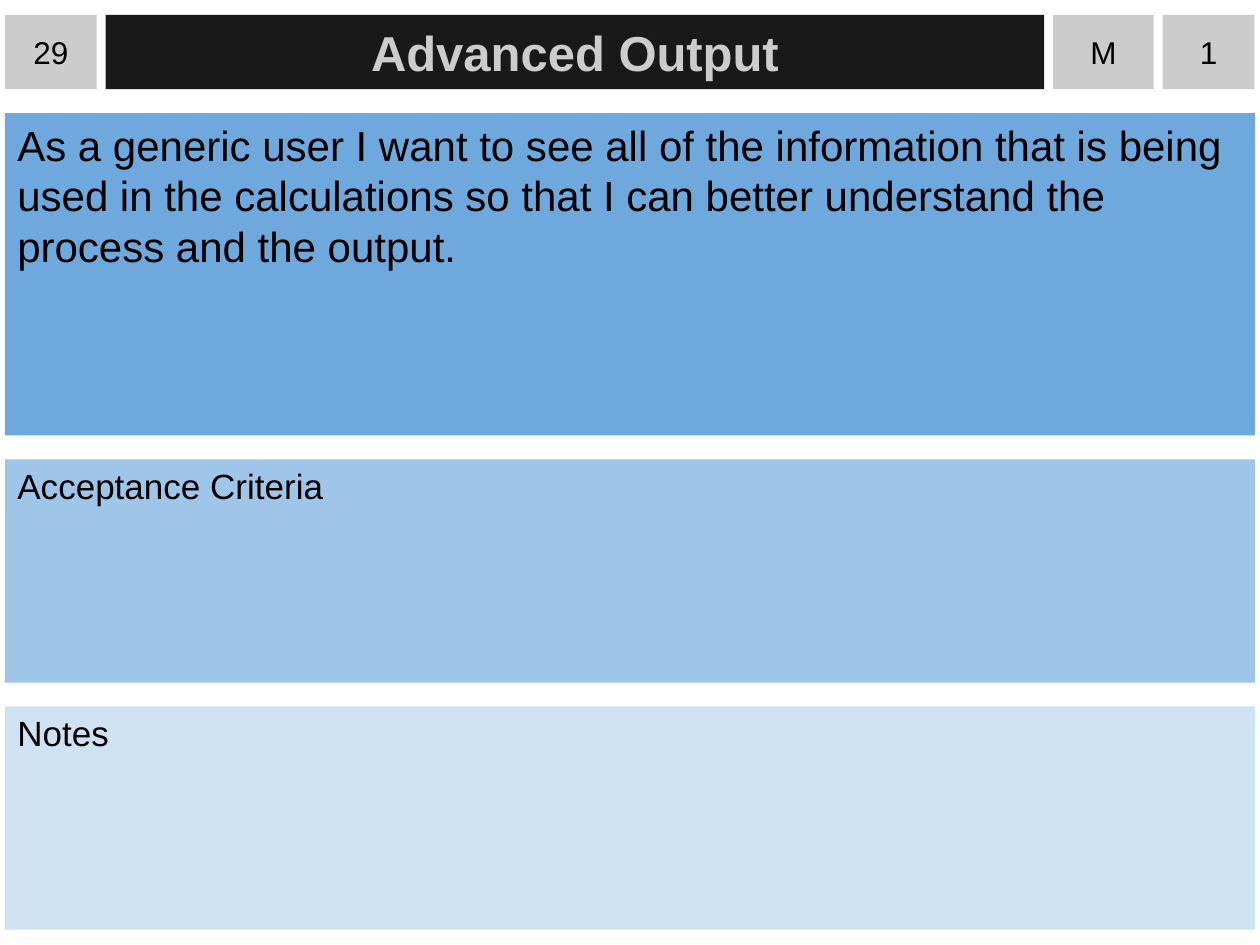
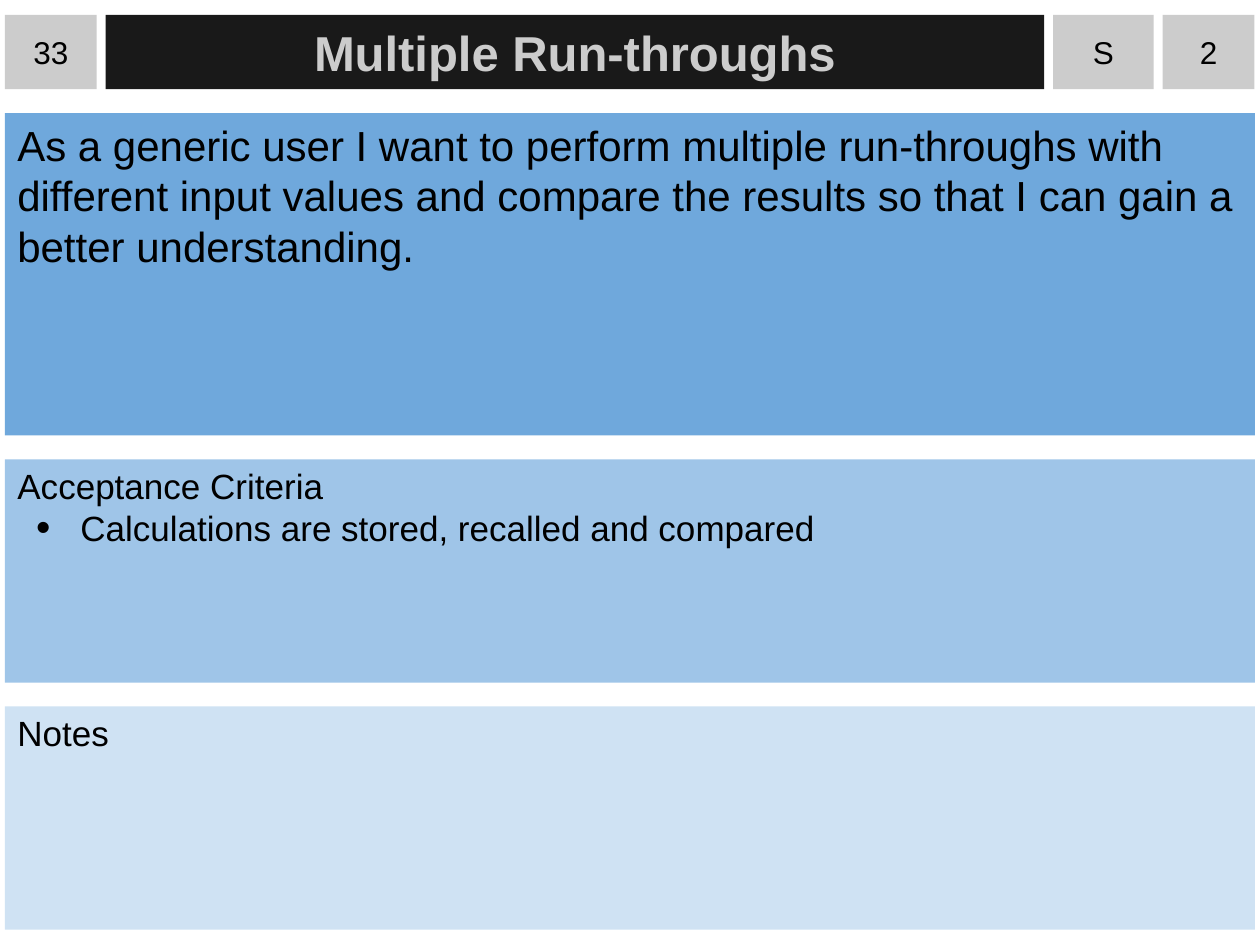
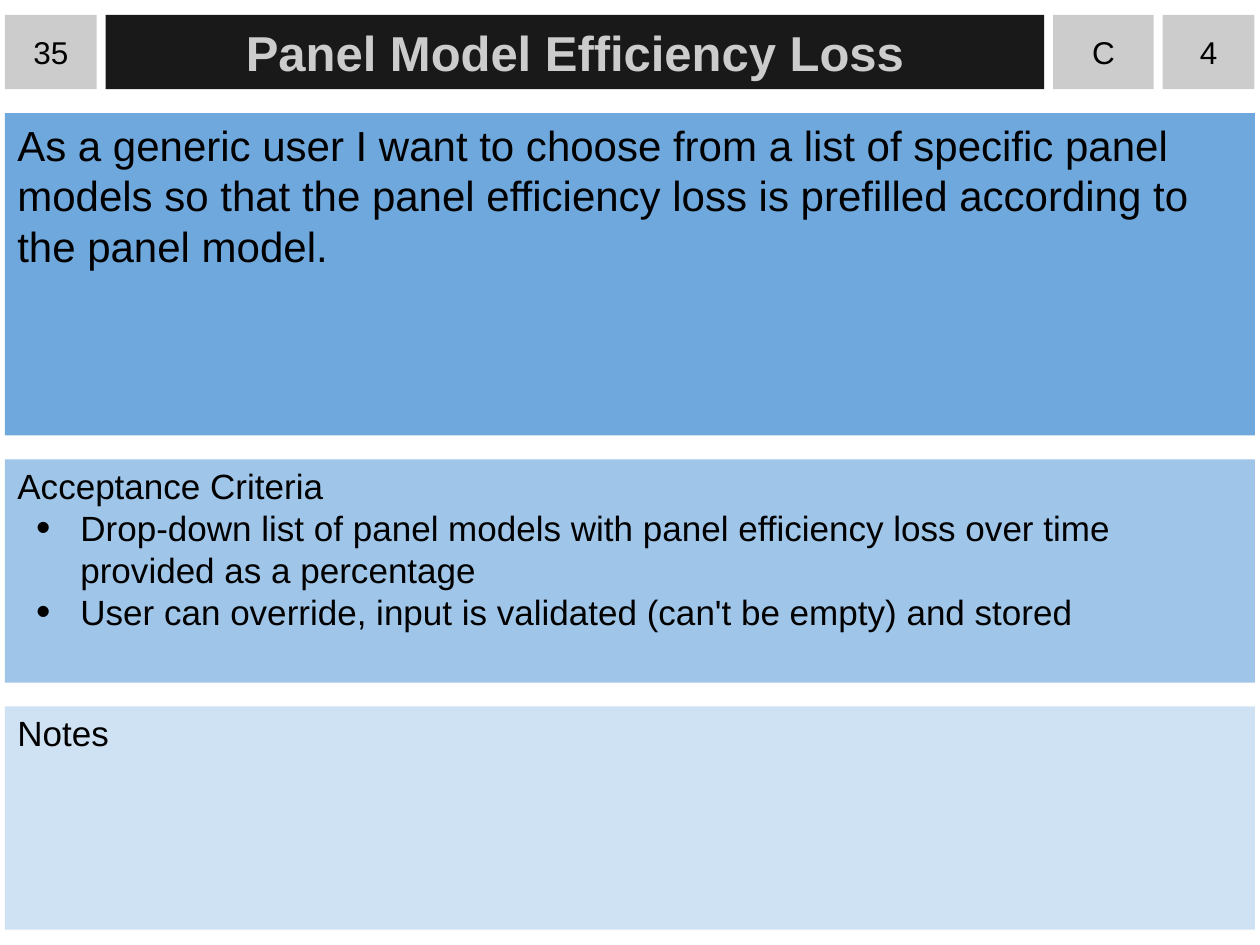
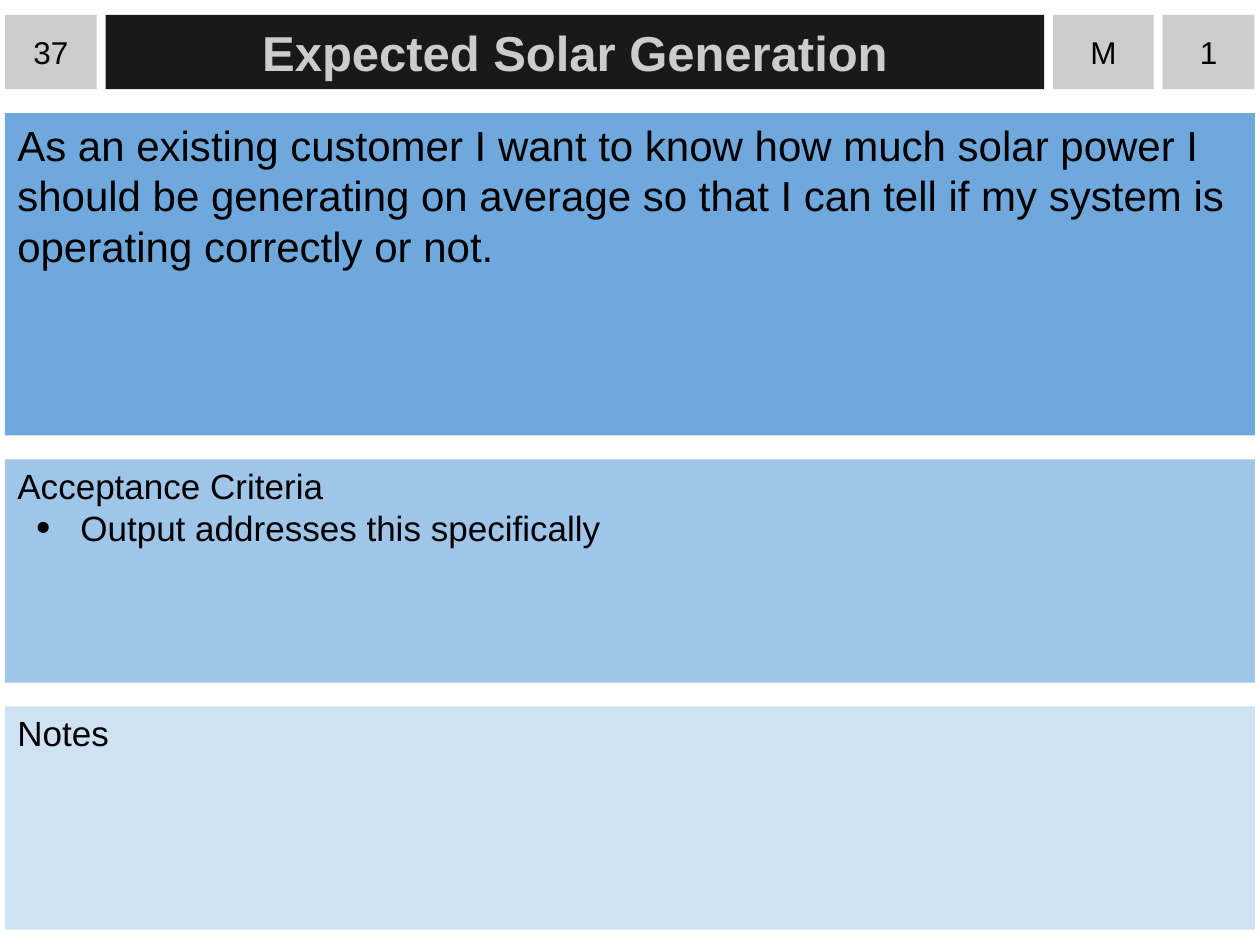
from dataclasses import dataclass

from lxml import etree
from pptx import Presentation
from pptx.dml.color import RGBColor
from pptx.enum.shapes import MSO_SHAPE
from pptx.enum.text import MSO_ANCHOR, MSO_AUTO_SIZE, PP_ALIGN
from pptx.oxml.ns import qn
from pptx.util import Cm, Pt

RECTANGLE = MSO_SHAPE.RECTANGLE
TOP, MIDDLE = MSO_ANCHOR.TOP, MSO_ANCHOR.MIDDLE
LEFT, CENTER = PP_ALIGN.LEFT, PP_ALIGN.CENTER
NO_AUTOFIT = MSO_AUTO_SIZE.NONE

BLACK = RGBColor(0x00, 0x00, 0x00)
CHARCOAL = RGBColor(0x19, 0x19, 0x19)
GREY = RGBColor(0xCC, 0xCC, 0xCC)
STORY_BLUE = RGBColor(0x6F, 0xA8, 0xDC)
CRITERIA_BLUE = RGBColor(0x9F, 0xC5, 0xE8)
NOTES_BLUE = RGBColor(0xCF, 0xE2, 0xF3)

FONT = "Arial"
MARGIN = Cm(0.1)
HEADER_TOP, HEADER_HEIGHT, HEADER_GAP = Cm(0.3), Cm(1.5), Cm(0.18)
HEADER_WIDTHS = [Cm(1.85), Cm(18.92), Cm(2.03), Cm(1.85)]
PANEL_WIDTH, PANEL_GAP = Cm(25.2), Cm(0.48)
PANEL_HEIGHTS = [Cm(6.5), Cm(4.5), Cm(4.5)]
INSET, NARROW_INSET, PANEL_INSET = Cm(0.25), Cm(0.13), Cm(0.1)
BULLET_MARGIN, BULLET_INDENT = Cm(1.27), Cm(-0.89)


@dataclass
class Story:
    """One user story card."""

    number: str
    title: str
    priority: str
    iteration: str
    text: str
    criteria: tuple = ()


STORIES = [
    Story("29", "Advanced Output", "M", "1",
          "As a generic user I want to see all of the information that is being used "
          "in the calculations so that I can better understand the process and the output."),
    Story("33", "Multiple Run-throughs", "S", "2",
          "As a generic user I want to perform multiple run-throughs with different "
          "input values and compare the results so that I can gain a better understanding.",
          ("Calculations are stored, recalled and compared",)),
    Story("35", "Panel Model Efficiency Loss", "C", "4",
          "As a generic user I want to choose from a list of specific panel models so "
          "that the panel efficiency loss is prefilled according to the panel model.",
          ("Drop-down list of panel models with panel efficiency loss over time "
           "provided as a percentage",
           "User can override, input is validated (can't be empty) and stored")),
    Story("37", "Expected Solar Generation", "M", "1",
          "As an existing customer I want to know how much solar power I should be "
          "generating on average so that I can tell if my system is operating correctly or not.",
          ("Output addresses this specifically",)),
]


def spread(start, sizes, gap):
    """Return the start position of each size, laid out with equal gaps."""
    positions = []
    for size in sizes:
        positions.append(start)
        start += size + gap
    return positions


def place(box, left, top, width, height):
    """Move and size a box."""
    box.left, box.top, box.width, box.height = left, top, width, height


def add_box(page):
    """Add a plain rectangle without shadow or outline."""
    box = page.shapes.add_shape(RECTANGLE, 0, 0, 0, 0)
    box.shadow.inherit = False
    box.line.fill.background()
    return box


def fill_box(box, text, fill, size, color=BLACK, bold=False, align=LEFT,
             anchor=TOP, side=INSET, top=NARROW_INSET):
    """Fill a box with a colour and evenly formatted text."""
    box.fill.solid()
    box.fill.fore_color.rgb = fill
    frame = box.text_frame
    frame.text = text
    frame.word_wrap = True
    frame.auto_size = NO_AUTOFIT
    frame.vertical_anchor = anchor
    frame.margin_left = frame.margin_right = side
    frame.margin_top, frame.margin_bottom = top, NARROW_INSET
    for para in frame.paragraphs:
        para.alignment = align
        para.space_before = Pt(0)
        for span in para.runs:
            span.font.name = FONT
            span.font.size = Pt(size)
            span.font.bold = bold
            span.font.color.rgb = color


def set_bullet(para, bulleted):
    """Give a paragraph a round bullet, or clear the inherited one."""
    properties = para._p.get_or_add_pPr()
    properties.set("marL", str(BULLET_MARGIN if bulleted else 0))
    properties.set("indent", str(BULLET_INDENT if bulleted else 0))
    if not bulleted:
        etree.SubElement(properties, qn("a:buNone"))
        return
    color = etree.SubElement(properties, qn("a:buClr"))
    etree.SubElement(color, qn("a:srgbClr"), val=str(BLACK))
    etree.SubElement(properties, qn("a:buSzPct"), val="117000")
    etree.SubElement(properties, qn("a:buFont"), typeface=FONT)
    etree.SubElement(properties, qn("a:buChar"), char="•")


def add_header(page, story):
    """Add the number, title, priority and iteration boxes."""
    lefts = spread(MARGIN, HEADER_WIDTHS, HEADER_GAP)
    labels = [story.number, story.title, story.priority, story.iteration]
    for left, width, label in zip(lefts, HEADER_WIDTHS, labels):
        is_title = label == story.title
        box = page.shapes.title if is_title else add_box(page)
        place(box, left, HEADER_TOP, width, HEADER_HEIGHT)
        if is_title:
            fill_box(box, label, CHARCOAL, 28, GREY, True, CENTER, MIDDLE)
        else:
            fill_box(box, label, GREY, 18, align=CENTER, anchor=MIDDLE, side=0)


def add_panels(page, story):
    """Add the story, acceptance criteria and notes panels."""
    story_box, criteria_box, notes_box = add_box(page), page.placeholders[1], add_box(page)
    first_top = HEADER_TOP + HEADER_HEIGHT + PANEL_GAP
    tops = spread(first_top, PANEL_HEIGHTS, PANEL_GAP)
    for box, top, height in zip((story_box, criteria_box, notes_box), tops, PANEL_HEIGHTS):
        place(box, MARGIN, top, PANEL_WIDTH, height)

    criteria = "\n".join(("Acceptance Criteria",) + story.criteria)
    fill_box(story_box, story.text, STORY_BLUE, 24)
    fill_box(criteria_box, criteria, CRITERIA_BLUE, 20, top=PANEL_INSET)
    fill_box(notes_box, "Notes", NOTES_BLUE, 20, top=PANEL_INSET)
    for index, para in enumerate(criteria_box.text_frame.paragraphs):
        set_bullet(para, index > 0)


def main():
    """Build one slide per story and save the deck."""
    deck = Presentation()
    deck.slide_width, deck.slide_height = Cm(25.4), Cm(19.05)
    for story in STORIES:
        page = deck.slides.add_slide(deck.slide_layouts[1])
        add_header(page, story)
        add_panels(page, story)
    deck.save("out.pptx")


if __name__ == "__main__":
    main()
